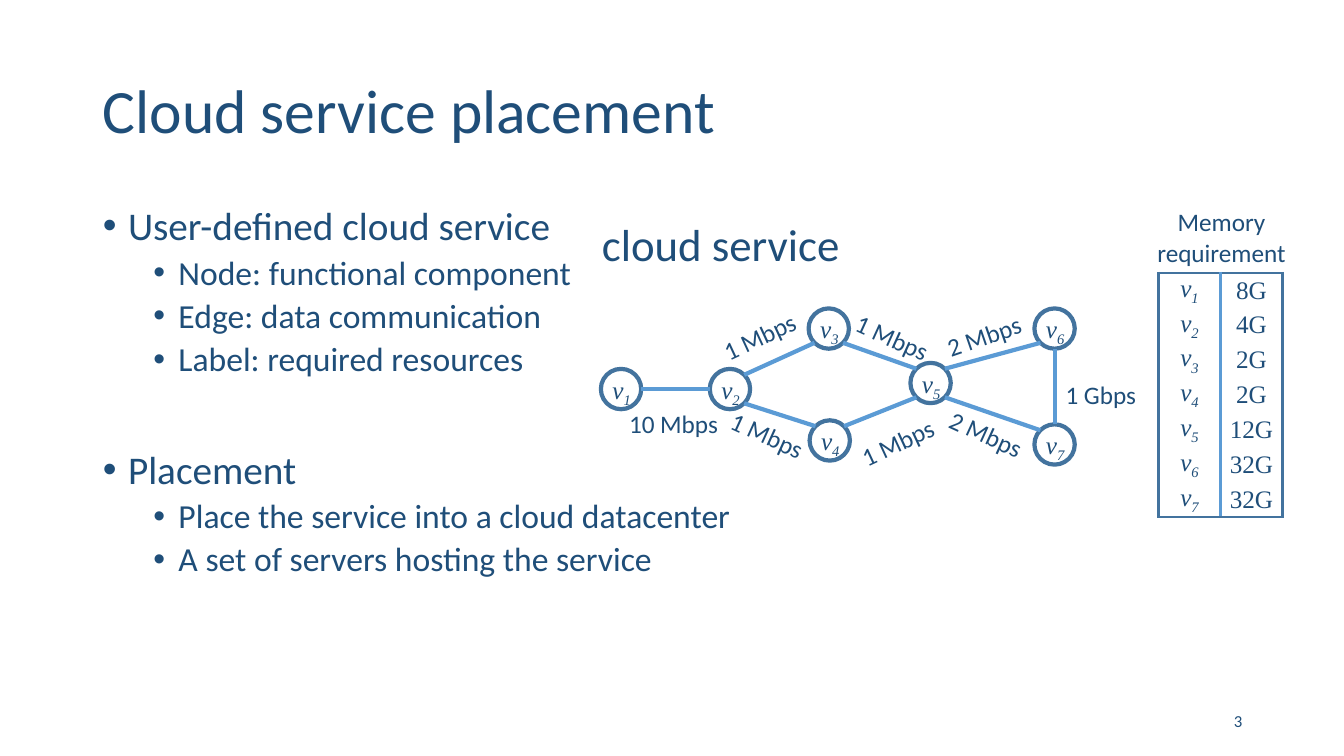
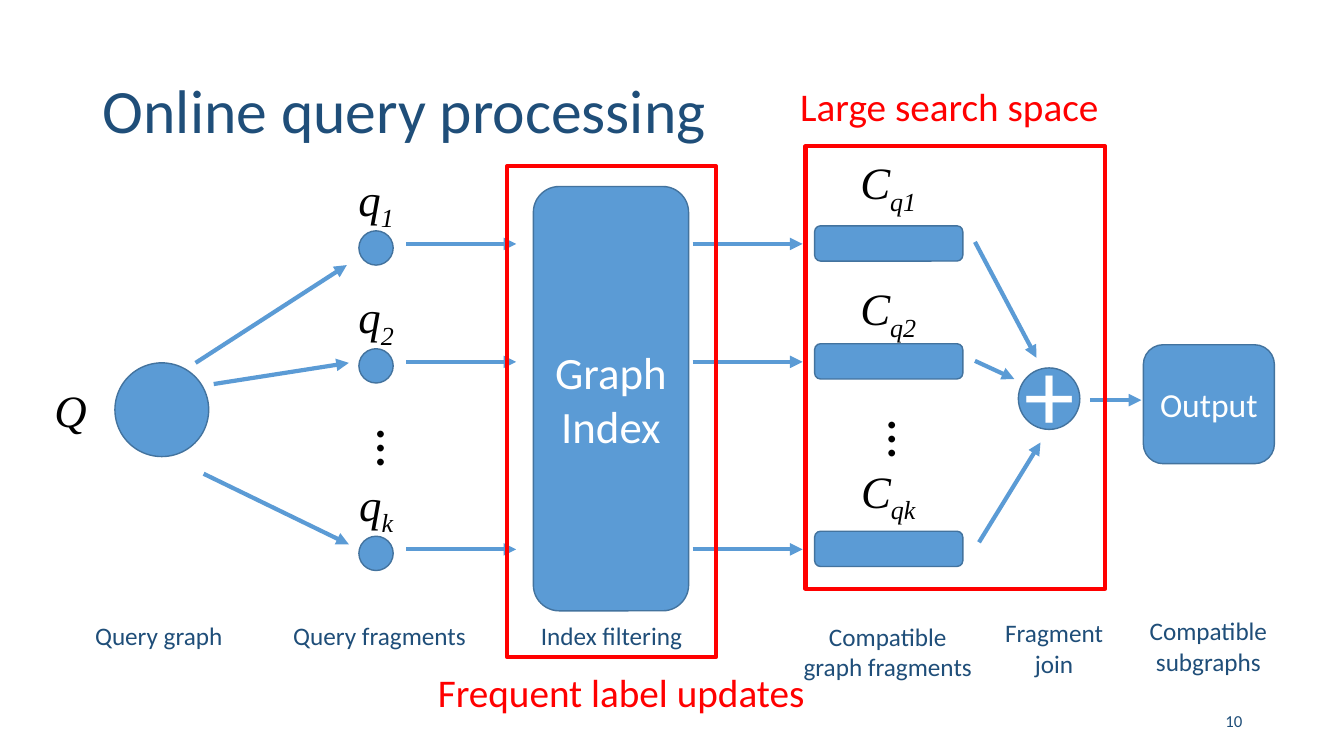
"""Builds two slides on cloud service placement and online query processing."""
import math

import pptx
import pptx.dml.color
import pptx.enum.shapes
import pptx.enum.text
import pptx.oxml.ns
import pptx.oxml.xmlchemy
import pptx.util
from lxml import etree

Inches = pptx.util.Inches
Pt = pptx.util.Pt
RGBColor = pptx.dml.color.RGBColor
SHAPE = pptx.enum.shapes.MSO_SHAPE
ALIGN = pptx.enum.text.PP_ALIGN
ANCHOR = pptx.enum.text.MSO_ANCHOR
qn = pptx.oxml.ns.qn

NAVY = RGBColor(0x1F, 0x4E, 0x79)
BLUE = RGBColor(0x5B, 0x9B, 0xD5)
OUTLINE = RGBColor(0x43, 0x73, 0x9E)
RED = RGBColor(0xFF, 0x00, 0x00)
BLACK = RGBColor(0x00, 0x00, 0x00)
WHITE = RGBColor(0xFF, 0xFF, 0xFF)
SANS, SERIF = "Calibri", "Times New Roman"

BULLETS = [
    (0, "User-defined cloud service", 10),
    (1, "Node: functional component", 5),
    (1, "Edge: data communication", 5),
    (1, "Label: required resources", 5),
    (0, "Placement", 51),
    (1, "Place the service into a cloud datacenter", 5),
    (1, "A set of servers hosting the service", 5),
]
NODE_SIZE = 0.4
NODES = {
    "v_1": (6.16, 3.86), "v_2": (7.24, 3.86), "v_3": (8.22, 3.26),
    "v_4": (8.23, 4.37), "v_5": (9.23, 3.8), "v_6": (10.46, 3.26),
    "v_7": (10.46, 4.41),
}
SIDES = {"right": 0, "lower right": 45, "bottom": 90, "lower left": 135,
         "left": 180, "upper left": 225, "top": 270, "upper right": 315}
EDGES = [
    ("v_1", "right", "v_2", "left"),
    ("v_2", "upper right", "v_3", "lower left"),
    ("v_2", "lower right", "v_4", "upper left"),
    ("v_3", "lower right", "v_5", "upper left"),
    ("v_4", "upper right", "v_5", "lower left"),
    ("v_5", "upper right", "v_6", "lower left"),
    ("v_5", "lower right", "v_7", "upper left"),
    ("v_6", "bottom", "v_7", "top"),
]
BANDWIDTHS = [
    ("10 Mbps", 6.14, 4, 0), ("1 Mbps", 7.05, 3.11, -24.9),
    ("1 Mbps", 8.42, 4.16, -24.9), ("1 Mbps", 8.37, 3.17, 24.6),
    ("1 Mbps", 7.13, 4.14, 24.6), ("1 Gbps", 10.47, 3.71, 0),
    ("2 Mbps", 9.28, 3.11, -19), ("2 Mbps", 9.3, 4.13, 24.6),
]
MEMORY = ["8G", "4G", "2G", "2G", "12G", "32G", "32G"]

LANES = [("1", 2.42, 1.49), ("2", 3.59, 2.74), ("k", 5.45, 4.55)]
SPLIT_ARROWS = [
    ((1.94, 3.6), (3.44, 2.63)),
    ((2.12, 3.81), (3.46, 3.6)),
    ((2.02, 4.7), (3.46, 5.4)),
]
JOIN_ARROWS = [
    ((9.67, 2.4), (10.28, 3.55)),
    ((9.67, 3.58), (10.06, 3.76)),
    ((9.71, 5.38), (10.32, 4.39)),
    ((10.81, 3.97), (11.32, 3.97)),
]
STAGES = [
    ("Query graph", 0.54, 6.11), ("Query fragments", 2.73, 6.11),
    ("Index filtering", 5.03, 6.11), ("Compatible\ngraph fragments", 7.77, 6.11),
    ("Fragment\njoin", 9.42, 6.08), ("Compatible subgraphs", 10.95, 6.06),
]
ELLIPSES = [(3.47, 4.14), (8.54, 4.05)]
CHALLENGES = [
    ("Frequent label updates", (3.85, 6.58, 4.62, 0.57), (5.03, 1.65, 2.07, 4.87)),
    ("Large search space", (7.63, 0.77, 3.57, 0.57), (7.99, 1.45, 2.97, 4.39)),
]


def write(frame, text, size, color=NAVY, font=SANS, italic=False, align=ALIGN.CENTER):
    """Write text, setting what follows an underscore as a subscript."""
    frame.text = text
    for paragraph in frame.paragraphs:
        base, _, subscript = paragraph.text.partition("_")
        paragraph.text = base
        paragraph.alignment = align
        if subscript:
            lowered = paragraph.add_run()
            lowered.text = subscript
            lowered.font._element.set("baseline", "-25000")
        for run in paragraph.runs:
            run.font.size = Pt(size)
            run.font.name = font
            run.font.color.rgb = color
            run.font.italic = italic


def add_label(slide, text, box, size, **style):
    """Add a wrapped text box."""
    label = slide.shapes.add_textbox(*map(Inches, box))
    label.text_frame.word_wrap = True
    write(label.text_frame, text, size, **style)
    return label


def add_box(slide, preset, box, fill=BLUE, line=OUTLINE, width=1):
    """Add a preset shape without a shadow."""
    shape = slide.shapes.add_shape(preset, *map(Inches, box))
    shape.shadow.inherit = False
    if fill is None:
        shape.fill.background()
    else:
        shape.fill.solid()
        shape.fill.fore_color.rgb = fill
    shape.line.color.rgb = line
    shape.line.width = Pt(width)
    return shape


def add_line(slide, start, end, arrow=False):
    """Add a straight blue line, with an arrowhead if asked."""
    line = slide.shapes.add_connector(
        pptx.enum.shapes.MSO_CONNECTOR.STRAIGHT, *map(Inches, (*start, *end)))
    line.line.color.rgb = BLUE
    line.line.width = Pt(3)
    if arrow:
        etree.SubElement(line.line._get_or_add_ln(), qn("a:tailEnd"), type="triangle")
    etree.SubElement(line._element.spPr, qn("a:effectLst"))


def start_slide(deck, layout, title, number):
    """Add a slide with the shared title style and page number."""
    slide = deck.slides.add_slide(deck.slide_layouts[layout])
    heading = slide.shapes.title
    place(heading, (0.92, 0.4, 11.5, 1.45))
    write(heading.text_frame, title, 44, align=ALIGN.LEFT)
    heading.text_frame.vertical_anchor = ANCHOR.MIDDLE
    heading.text_frame.paragraphs[0].line_spacing = 0.9
    page = add_label(slide, number, (9.42, 6.95, 3, 0.4), 12, align=ALIGN.RIGHT)
    page.text_frame.vertical_anchor = ANCHOR.MIDDLE
    return slide


def place(shape, box):
    """Move and size a placeholder."""
    shape.left, shape.top, shape.width, shape.height = map(Inches, box)


def add_bullets(slide):
    """Fill the body placeholder with the two-level list."""
    body = slide.placeholders[1]
    place(body, (0.92, 2, 11.5, 5.11))
    frame = body.text_frame
    write(frame, "\n".join(text for _, text, _ in BULLETS), 28, align=ALIGN.LEFT)
    frame.auto_size = pptx.enum.text.MSO_AUTO_SIZE.NONE
    for paragraph, (level, _, before) in zip(frame.paragraphs, BULLETS):
        paragraph.level = level
        paragraph.line_spacing = 0.9
        paragraph.space_before = Pt(before)
        paragraph.runs[0].font.size = Pt(24 if level else 28)
        properties = paragraph._p.get_or_add_pPr()
        properties.set("marL", str(Inches(0.25 + 0.5 * level)))
        properties.set("indent", str(Inches(-0.25)))
        etree.SubElement(properties, qn("a:buChar"), char="•")


def set_borders(cell, borders):
    """Draw the given cell sides and hide the others."""
    properties = cell._tc.get_or_add_tcPr()
    for side in ("lnL", "lnR", "lnT", "lnB"):
        color = borders.get(side)
        line = etree.SubElement(properties, qn(f"a:{side}"), w=str(Pt(2)))
        fill = etree.SubElement(line, qn("a:solidFill" if color else "a:noFill"))
        if color:
            etree.SubElement(fill, qn("a:srgbClr"), val=str(color))


def add_memory_table(slide):
    """Add the memory requirement of each node."""
    rows = list(zip(NODES, MEMORY))
    table = slide.shapes.add_table(
        len(rows), 2, *map(Inches, (11.49, 2.71, 1.23, 2.42))).table
    table.first_row = table.horz_banding = False
    for row, values in enumerate(rows):
        table.rows[row].height = Inches(2.42 / len(rows))
        for column, value in enumerate(values):
            cell = table.cell(row, column)
            cell.margin_left = cell.margin_right = 0
            cell.margin_top = cell.margin_bottom = 0
            cell.vertical_anchor = ANCHOR.MIDDLE
            write(cell.text_frame, value, 18, font=SERIF, italic=column == 0)
            borders = {"lnL": BLUE if column else OUTLINE,
                       "lnR": OUTLINE if column else BLUE}
            if row == 0:
                borders["lnT"] = OUTLINE
            if row == len(rows) - 1:
                borders["lnB"] = OUTLINE
            set_borders(cell, borders)
            cell.fill.background()


def node_point(node, side):
    """Return the point of a node's rim that faces a side."""
    x, y = NODES[node]
    angle = math.radians(SIDES[side])
    radius = NODE_SIZE / 2
    return x + radius * math.cos(angle), y + radius * math.sin(angle)


def build_placement(deck):
    """Build the slide with the service graph."""
    slide = start_slide(deck, 1, "Cloud service placement", "3")
    add_bullets(slide)
    for name, (x, y) in NODES.items():
        corner = (x - NODE_SIZE / 2, y - NODE_SIZE / 2)
        add_box(slide, SHAPE.OVAL, (*corner, NODE_SIZE, NODE_SIZE), fill=None, width=3)
        add_label(slide, name, (x - 0.22, corner[1], 0.45, 0.4), 18,
                  font=SERIF, italic=True)
    for source, source_side, target, target_side in EDGES:
        add_line(slide, node_point(source, source_side), node_point(target, target_side))
    for text, x, y, angle in BANDWIDTHS:
        label = add_label(slide, text, (x, y, 1.19 if len(text) > 6 else 1.07, 0.4), 18,
                          align=ALIGN.LEFT)
        label.rotation = angle
    add_memory_table(slide)
    add_label(slide, "Memory requirement", (11.17, 2, 1.89, 0.71), 18)
    add_label(slide, "cloud service", (5.82, 2.1, 2.66, 0.64), 32)


def build_query(deck):
    """Build the slide with the query pipeline."""
    slide = start_slide(deck, 5, "Online query processing", "10")
    symbol = {"color": BLACK, "font": SERIF, "italic": True}
    index = add_box(slide, SHAPE.ROUNDED_RECTANGLE, (5.29, 1.85, 1.54, 4.21))
    write(index.text_frame, "Graph Index", 32, WHITE)
    output = add_box(slide, SHAPE.ROUNDED_RECTANGLE, (11.34, 3.42, 1.3, 1.18))
    write(output.text_frame, "Output", 24, WHITE)
    add_box(slide, SHAPE.OVAL, (1.14, 3.6, 0.93, 0.93))
    add_label(slide, "Q", (0.25, 3.75, 0.9, 0.64), 32, **symbol)
    add_box(slide, SHAPE.OVAL, (10.1, 3.65, 0.61, 0.61))
    plus = add_label(slide, "+", (10.06, 3.23, 0.71, 1.31), 72, color=WHITE)
    plus.text_frame.word_wrap = False
    for suffix, y, candidate_top in LANES:
        add_box(slide, SHAPE.OVAL, (3.56, y - 0.13, 0.34, 0.34))
        add_label(slide, f"q_{suffix}", (3.28, y - 0.77, 0.9, 0.64), 32, **symbol)
        add_box(slide, SHAPE.ROUNDED_RECTANGLE, (8.08, y - 0.18, 1.47, 0.35))
        add_label(slide, f"C_q{suffix}", (8.36, candidate_top, 0.9, 0.64), 32, **symbol)
        for x in (4.03, 6.87):
            add_line(slide, (x, y), (x + 1.09, y), arrow=True)
    for start, end in SPLIT_ARROWS + JOIN_ARROWS:
        add_line(slide, start, end, arrow=True)
    for x, y in ELLIPSES:
        dots = add_label(slide, "...", (x, y, 0.88, 0.7), 40, color=BLACK)
        dots.text_frame._txBody.bodyPr.set("vert", "eaVert")
    for text, x, y in STAGES:
        add_label(slide, text, (x, y, 2.07, 0.71 if len(text) > 15 else 0.4), 18)
    for text, caption, frame in CHALLENGES:
        add_label(slide, text, caption, 28, color=RED)
        add_box(slide, SHAPE.RECTANGLE, frame, fill=None, line=RED, width=3)


def main():
    """Build and save the deck."""
    deck = pptx.Presentation()
    deck.slide_width, deck.slide_height = Inches(13.33), Inches(7.5)
    build_placement(deck)
    build_query(deck)
    deck.save("out.pptx")


if __name__ == "__main__":
    main()
